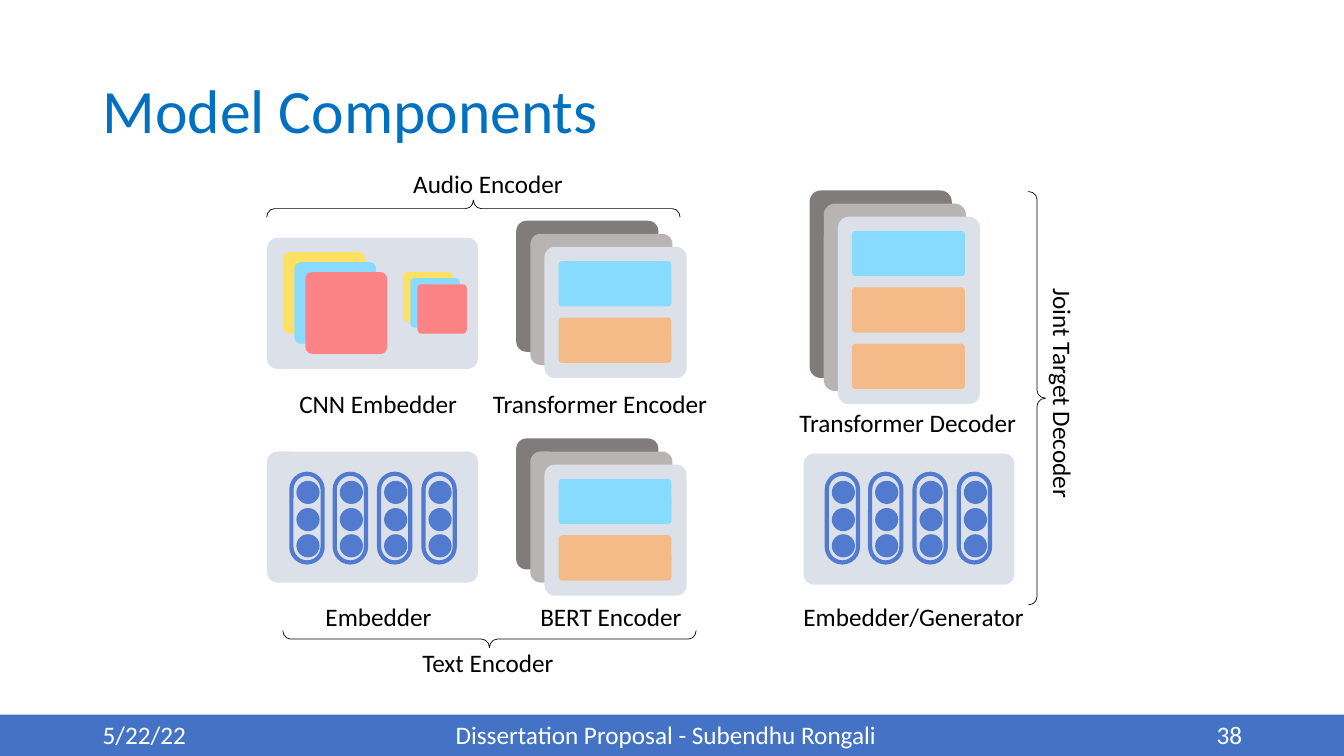
from dataclasses import dataclass

from pptx import Presentation
from pptx.dml.color import RGBColor
from pptx.enum.shapes import MSO_SHAPE as Preset
from pptx.enum.text import MSO_ANCHOR as Anchor, MSO_AUTO_SIZE as AutoSize, PP_ALIGN as Align
from pptx.util import Emu, Pt

EMU_PER_PX = 9144  # 100 px to the inch
ROUNDING = 0.079
COLORS = {
    "bar": "4472C4", "title": "0070C0", "white": "FFFFFF", "black": "000000",
    "back": "817C7C", "middle": "B8B4B4", "panel": "DCE1E9",
    "orange": "F4BB89", "cyan": "87DBFF", "yellow": "FEE063",
    "sky": "88DAFF", "red": "FC8385", "vector": "527BCF",
}


@dataclass
class Label:
    text: str
    x: int
    y: int
    w: int
    h: int = 40
    size: int = 18
    color: str = "black"
    wrap: bool = False
    rotation: int = 0
    align: Align = Align.LEFT
    anchor: Anchor = Anchor.TOP
    spacing: float = 1.0


@dataclass
class Stack:
    x: int
    y: int
    h: int
    blocks: tuple[str, ...]


@dataclass
class Tiles:
    x: int
    y: int
    size: int
    dx: int
    dy: int


@dataclass
class Brace:
    x: int
    y: int
    rotation: int


LABELS = [
    Label("5/22/22", 92, 709, 300, color="white", wrap=True),
    Label("Dissertation Proposal - Subendhu Rongali", 442, 709, 450, color="white", wrap=True),
    Label("38", 942, 709, 300, color="white", wrap=True, align=Align.RIGHT),
    Label("Model Components", 92, 40, 1150, 145, size=44, color="title", wrap=True,
          anchor=Anchor.MIDDLE, spacing=0.9),
    Label("Embedder", 313, 592, 127),
    Label("BERT Encoder", 526, 592, 162),
    Label("Embedder/Generator", 787, 592, 241),
    Label("Transformer Decoder", 783, 399, 237),
    Label("CNN Embedder", 287, 380, 178),
    Label("Transformer Encoder", 479, 380, 235),
    Label("Audio Encoder", 400, 162, 170),
    Label("Text Encoder", 409, 637, 152),
    Label("Joint Target Decoder", 939, 372, 231, rotation=90),
]
STACKS = [
    Stack(512, 219, 130, ("cyan", "orange")),
    Stack(512, 435, 130, ("cyan", "orange")),
    Stack(803, 189, 186, ("cyan", "orange", "orange")),
]
PANELS = [(265, 236), (265, 448), (797, 450)]
TILES = [Tiles(281, 250, 81, 11, 10), Tiles(400, 270, 49, 7, 6)]
VECTOR_ROWS = [(289, 470), (820, 470)]
BRACES = [Brace(461, 2, 90), Brace(477, 429, 270), Brace(1020, 190, 180)]


def px(length: int) -> Emu:
    return Emu(length * EMU_PER_PX)


def rgb(name: str) -> RGBColor:
    return RGBColor.from_string(COLORS[name])


def draw_shape(preset: Preset, x: int, y: int, w: int, h: int, fill: str = "",
               line: str = "", weight: float = 0, adjustments: tuple[float, ...] = (),
               rotation: int = 0) -> None:
    shape = slide.shapes.add_shape(preset, px(x), px(y), px(w), px(h))
    shape.shadow.inherit = False
    shape.rotation = rotation
    for index, value in enumerate(adjustments):
        shape.adjustments[index] = value
    if fill:
        shape.fill.solid()
        shape.fill.fore_color.rgb = rgb(fill)
    else:
        shape.fill.background()
    if line:
        shape.line.color.rgb = rgb(line)
        shape.line.width = Pt(weight)
    else:
        shape.line.fill.background()


def draw_card(x: int, y: int, w: int, h: int, fill: str) -> None:
    draw_shape(Preset.ROUNDED_RECTANGLE, x, y, w, h, fill, adjustments=(ROUNDING,))


def draw_label(label: Label) -> None:
    box = slide.shapes.add_textbox(px(label.x), px(label.y), px(label.w), px(label.h))
    box.rotation = label.rotation
    frame = box.text_frame
    paragraph = frame.paragraphs[0]
    run = paragraph.add_run()
    run.text = label.text
    run.font.color.rgb = rgb(label.color)
    formats = {
        frame: {"word_wrap": label.wrap, "vertical_anchor": label.anchor,
                "auto_size": AutoSize.NONE if label.wrap else AutoSize.SHAPE_TO_FIT_TEXT},
        paragraph: {"alignment": label.align, "line_spacing": label.spacing},
        run.font: {"name": "Calibri", "size": Pt(label.size)},
    }
    for target, values in formats.items():
        for attribute, value in values.items():
            setattr(target, attribute, value)


def draw_stack(stack: Stack) -> None:
    for layer, color in enumerate(("back", "middle", "panel")):
        draw_card(stack.x + 14 * layer, stack.y + 13 * layer, 141, stack.h, color)
    for row, color in enumerate(stack.blocks):
        draw_card(stack.x + 42, stack.y + 40 + 56 * row, 112, 45, color)


def draw_tiles(tiles: Tiles) -> None:
    for layer, color in enumerate(("yellow", "sky", "red")):
        draw_card(tiles.x + tiles.dx * layer, tiles.y + tiles.dy * layer,
                  tiles.size, tiles.size, color)


def draw_vectors(x: int, y: int) -> None:
    for column in range(4):
        left = x + column * 131 // 3
        draw_shape(Preset.ROUNDED_RECTANGLE, left, y, 31, 88,
                   line="vector", weight=3, adjustments=(0.5,))
        for row in range(3):
            draw_shape(Preset.OVAL, left + 5, y + 7 + (row * 53 + 1) // 2, 23, 23, "vector")


prs = Presentation()
prs.slide_width, prs.slide_height = px(1333), px(750)
slide = prs.slides.add_slide(prs.slide_layouts[6])

# Footer bar
draw_shape(Preset.RECTANGLE, 0, 709, 1333, 41, "bar")

# Encoder and decoder stacks
for stack in STACKS:
    draw_stack(stack)

# Embedder panels with their contents
for panel_x, panel_y in PANELS:
    draw_card(panel_x, panel_y, 209, 130, "panel")
for tiles in TILES:
    draw_tiles(tiles)
for row_x, row_y in VECTOR_ROWS:
    draw_vectors(row_x, row_y)

# Braces around each component
for brace in BRACES:
    draw_shape(Preset.LEFT_BRACE, brace.x, brace.y, 17, 410, line="black", weight=0.5,
               adjustments=(0.458, 0.5), rotation=brace.rotation)

# Title, captions and footer text
for label in LABELS:
    draw_label(label)

prs.save("out.pptx")
